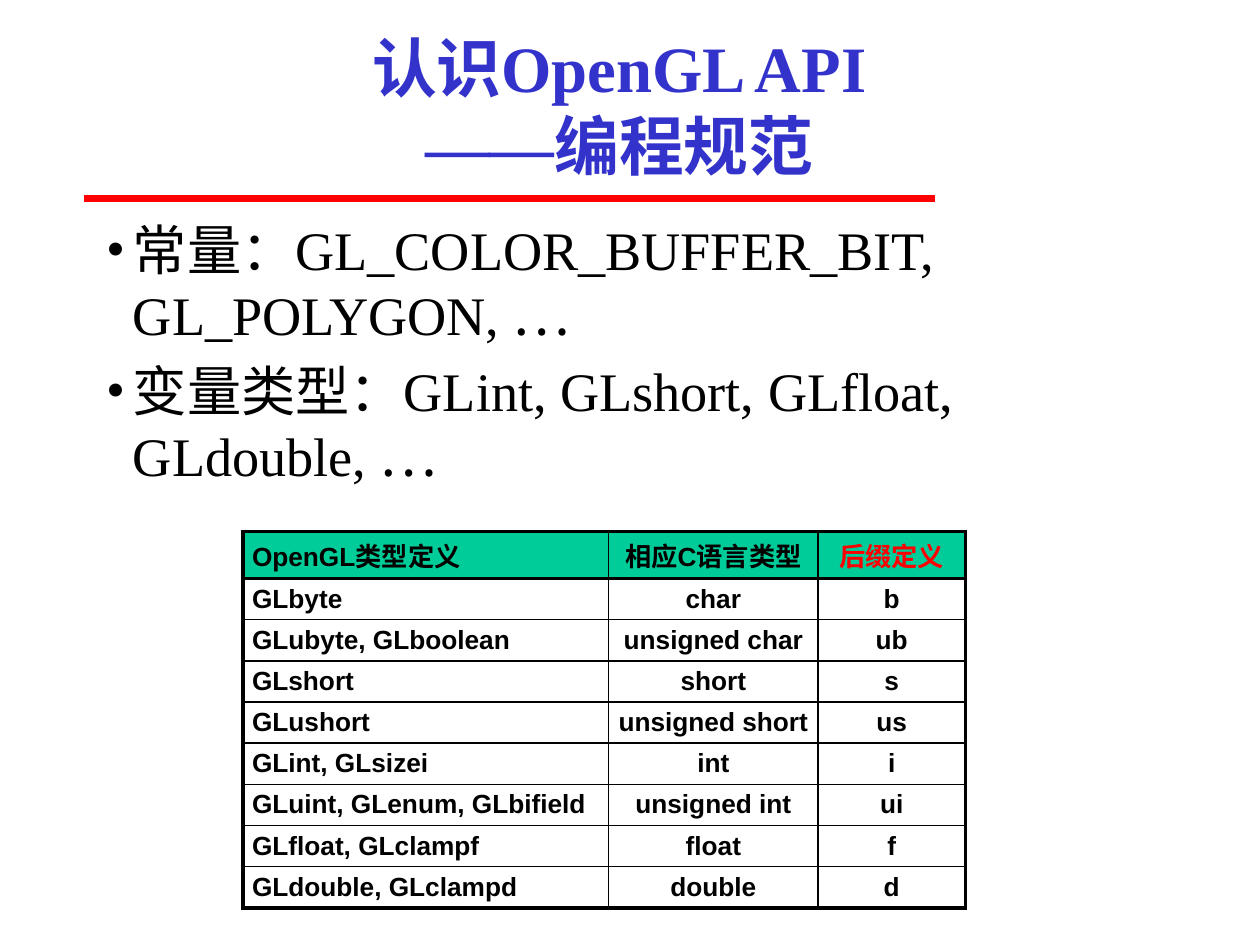
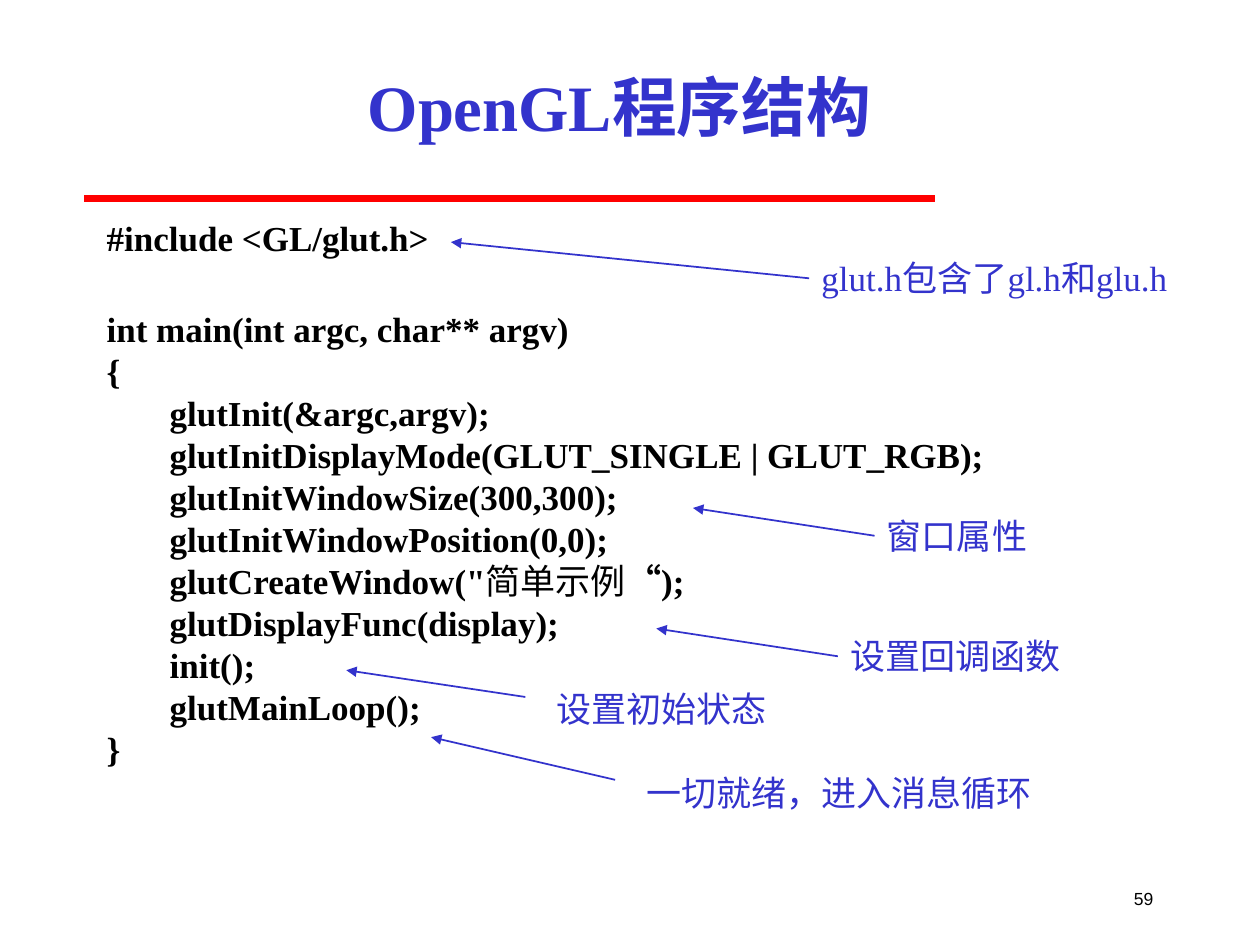
from lxml import etree
from pptx import Presentation
from pptx.dml.color import RGBColor
from pptx.enum.shapes import MSO_CONNECTOR
from pptx.enum.text import MSO_ANCHOR, PP_ALIGN
from pptx.oxml.ns import qn
from pptx.util import Cm, Pt

LEFT, CENTER, RIGHT = PP_ALIGN.LEFT, PP_ALIGN.CENTER, PP_ALIGN.RIGHT
TOP, MIDDLE = MSO_ANCHOR.TOP, MSO_ANCHOR.MIDDLE
STRAIGHT = MSO_CONNECTOR.STRAIGHT
LEFT_SIDE = 1

COLORS = {"blue": "3333CC", "red": "FF0000", "green": "00CC99",
          "black": "000000", "white": "FFFFFF"}
SERIF, SANS, CJK = "Times New Roman", "Arial", "Noto Sans CJK SC"
BODY_AREA = (1.9, 4.24, 21.6, 13.13)
LABEL_HEIGHT = 1.12

CONSTANTS = [
    ("常量：GL_COLOR_BUFFER_BIT, GL_POLYGON, ", "…"),
    ("变量类型：GLint, GLshort, GLfloat, GLdouble, ", "…"),
]
TYPE_ROWS = [
    ("OpenGL类型定义", "相应C语言类型", "后缀定义"),
    ("GLbyte", "char", "b"),
    ("GLubyte, GLboolean", "unsigned char", "ub"),
    ("GLshort", "short", "s"),
    ("GLushort", "unsigned short", "us"),
    ("GLint, GLsizei", "int", "i"),
    ("GLuint, GLenum, GLbifield", "unsigned int", "ui"),
    ("GLfloat, GLclampf", "float", "f"),
    ("GLdouble, GLclampd", "double", "d"),
]
INCLUDE_LINE = "#include <GL/glut.h>"
MAIN_LINES = [
    "int main(int argc, char** argv)",
    "{",
    "\tglutInit(&argc,argv);",
    "\tglutInitDisplayMode(GLUT_SINGLE | GLUT_RGB);",
    "\tglutInitWindowSize(300,300);",
    "\tglutInitWindowPosition(0,0);",
    "\tglutCreateWindow(\"简单示例“);",
    "\tglutDisplayFunc(display);",
    "\tinit();",
    "\tglutMainLoop();",
    "}",
]
WINDOW_NAME = "简单示例"
# Label, its left, top and width, arrow tip, arrow start (None: the label's side)
NOTES = [
    ("glut.h包含了gl.h和glu.h", 16.31, 5.05, 7.52, (9.09, 4.88), None),
    ("窗口属性", 17.63, 10.24, 3.35, (13.97, 10.24), None),
    ("设置回调函数", 16.89, 12.67, 4.78, (13.23, 12.67), None),
    ("设置初始状态", 10.97, 13.74, 4.78, (6.98, 13.51), (10.59, 14.05)),
    ("一切就绪，进入消息循环", 12.78, 15.42, 8.36, (8.69, 14.86), (12.4, 15.72)),
]


def rgb(color):
    return RGBColor.from_string(COLORS[color])


def add_span(para, text, size, color="black", font=SERIF, bold=False):
    span = para.add_run()
    span.text = text
    span.font.size = Pt(size)
    span.font.bold = bold
    span.font.name = font
    span.font.color.rgb = rgb(color)
    etree.SubElement(span.font._element, qn("a:ea"), typeface=CJK)


def add_box(page, left, top, width, height, anchor=TOP):
    box = page.shapes.add_textbox(Cm(left), Cm(top), Cm(width), Cm(height))
    box.text_frame.word_wrap = True
    box.text_frame.vertical_anchor = anchor
    return box


def add_line(page, start, end, color, width):
    line = page.shapes.add_connector(STRAIGHT, *(Cm(v) for v in (*start, *end)))
    line.line.color.rgb = rgb(color)
    line.line.width = Pt(width)
    etree.SubElement(line._element.spPr, qn("a:effectLst"))
    return line


def add_page(deck, title_lines):
    """Blank page with the shared title and red rule."""
    page = deck.slides.add_slide(deck.slide_layouts[6])
    page.background.fill.solid()
    page.background.fill.fore_color.rgb = rgb("white")
    add_line(page, (1.7, 4.01), (18.85, 4.01), "red", 4)
    para = add_box(page, 3.81, 0.64, 17.35, 2.97, MIDDLE).text_frame.paragraphs[0]
    para.alignment = CENTER
    for number, text in enumerate(title_lines):
        if number:
            para.add_line_break()
        add_span(para, text, 37, "blue", bold=True)
    return page


def add_bullets(page, items):
    frame = add_box(page, *BODY_AREA).text_frame
    for number, (text, ending) in enumerate(items):
        para = frame.add_paragraph() if number else frame.paragraphs[0]
        if number:
            para.space_before = Pt(6)
        props = para._p.get_or_add_pPr()
        props.set("marL", str(Cm(0.53)))
        props.set("indent", str(-Cm(0.53)))
        etree.SubElement(props, qn("a:buFont"), typeface=SERIF)
        etree.SubElement(props, qn("a:buChar"), char="•")
        add_span(para, text, 31)
        add_span(para, ending, 31, font=CJK)


def set_borders(cell, widths):
    props = cell._tc.get_or_add_tcPr()
    for position, (side, width) in enumerate(zip("LRTB", widths)):
        line = etree.Element(qn(f"a:ln{side}"), w=str(Pt(width)))
        fill = etree.SubElement(line, qn("a:solidFill"))
        etree.SubElement(fill, qn("a:srgbClr"), val=COLORS["black"])
        props.insert(position, line)


def add_type_table(page, rows):
    widths = [7.37, 4.22, 2.97]
    heights = [0.94] + [0.83] * (len(rows) - 1)
    table = page.shapes.add_table(
        len(rows), len(widths), Cm(4.9), Cm(10.72),
        Cm(sum(widths)), Cm(sum(heights))).table
    for column, width in zip(table.columns, widths):
        column.width = Cm(width)
    # Border widths by grid line: thick outside, medium below the header
    across = [2.25, 1.5] + [1] * (len(rows) - 2) + [2.25]
    down = [2.25, 1, 1, 2.25]
    for r, (texts, height) in enumerate(zip(rows, heights)):
        table.rows[r].height = Cm(height)
        for c, text in enumerate(texts):
            cell = table.cell(r, c)
            cell.margin_left = cell.margin_right = Cm(0.18)
            cell.margin_top = cell.margin_bottom = Cm(0.09)
            cell.vertical_anchor = MIDDLE
            if r == 0:
                cell.fill.solid()
                cell.fill.fore_color.rgb = rgb("green")
            else:
                cell.fill.background()
            set_borders(cell, (down[c], down[c + 1], across[r], across[r + 1]))
            para = cell.text_frame.paragraphs[0]
            para.alignment = CENTER if c else LEFT
            color = "red" if (r, c) == (0, 2) else "black"
            add_span(para, text, 15, color, SANS, bold=True)


def add_code(page):
    frame = add_box(page, *BODY_AREA).text_frame
    add_span(frame.paragraphs[0], INCLUDE_LINE, 20, bold=True)
    para = frame.add_paragraph()
    para.space_before = Pt(28)
    for number, line in enumerate(MAIN_LINES):
        if number:
            para.add_line_break()
        before, name, after = line.partition(WINDOW_NAME)
        add_span(para, before, 20, bold=True)
        if name:
            add_span(para, name, 20)
            add_span(para, after, 20, bold=True)


def add_note(page, text, left, top, width, tip, start):
    """Blue label with an arrow to the code it explains."""
    label = add_box(page, left, top, width, LABEL_HEIGHT)
    add_span(label.text_frame.paragraphs[0], text, 20, "blue")
    arrow = add_line(page, start or (left, top + LABEL_HEIGHT / 2), tip, "blue", 1)
    if start is None:
        arrow.begin_connect(label, LEFT_SIDE)
    etree.SubElement(arrow.line._get_or_add_ln(), qn("a:tailEnd"), type="triangle")


def add_page_number(page, number):
    para = add_box(page, 22.43, 17.58, 1.07, 1.07, MIDDLE).text_frame.paragraphs[0]
    para.alignment = RIGHT
    add_span(para, number, 10, font=SANS)


def main():
    deck = Presentation()
    deck.slide_width, deck.slide_height = Cm(25.4), Cm(19.05)

    # Naming conventions and type table
    page = add_page(deck, ["认识OpenGL API", "——编程规范"])
    add_bullets(page, CONSTANTS)
    add_type_table(page, TYPE_ROWS)

    # Program structure with notes
    page = add_page(deck, ["OpenGL程序结构"])
    add_code(page)
    add_page_number(page, "59")
    for note in NOTES:
        add_note(page, *note)

    deck.save("out.pptx")


if __name__ == "__main__":
    main()
